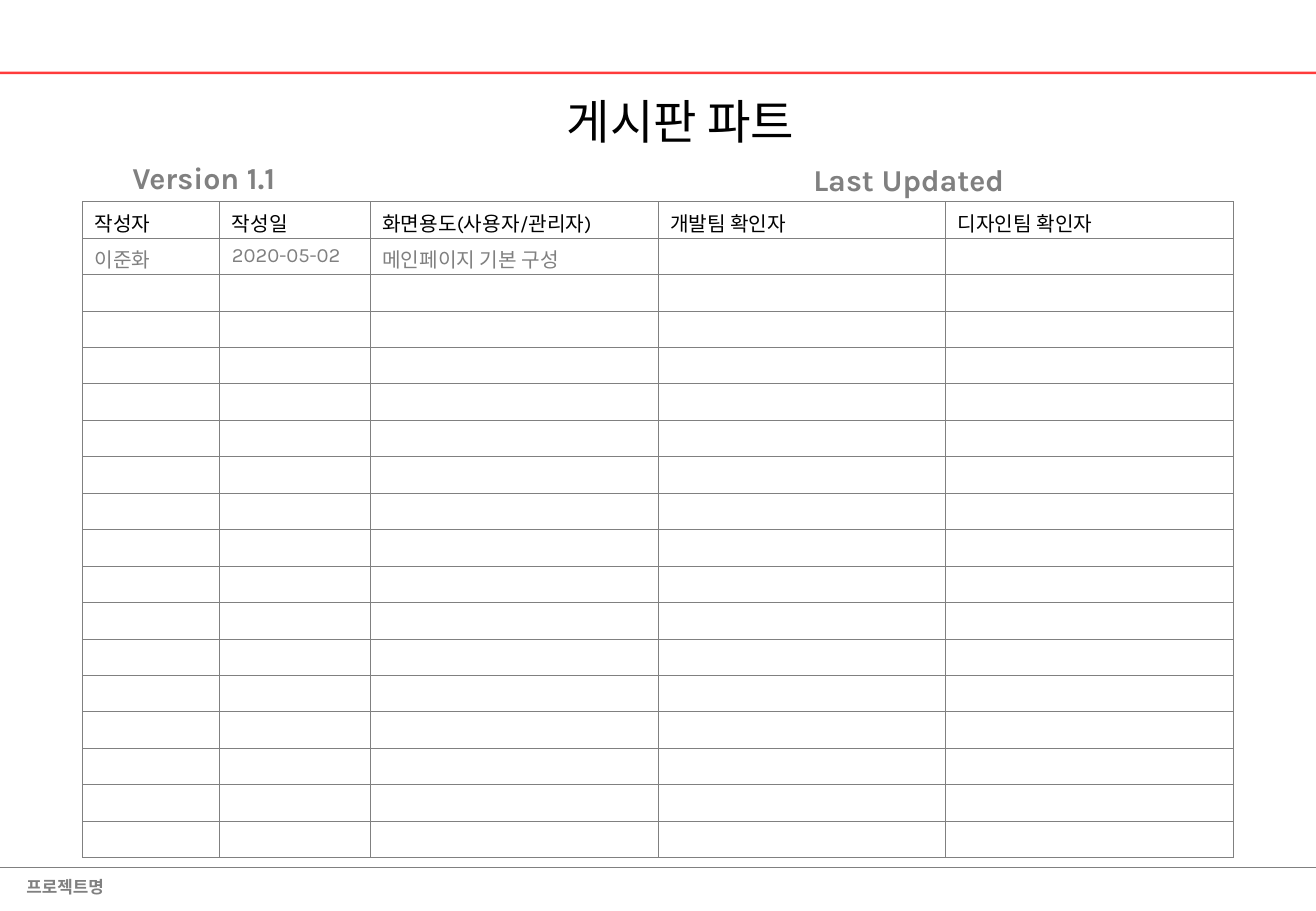
from lxml import etree
from pptx import Presentation
from pptx.dml.color import RGBColor
from pptx.enum import shapes, text
from pptx.oxml import ns
from pptx.util import Pt

RED = RGBColor(0xFF, 0, 0)
GRAY = RGBColor(0x80, 0x80, 0x80)
BLACK = RGBColor(0, 0, 0)
LATIN = "Karla"
KOREAN = "Noto Sans CJK KR"
WIDTH, HEIGHT = 780.48, 540


def add(parent, tag, **attrs):
    return etree.SubElement(parent, ns.qn(tag), attrs)


def style(frame, size, face, color, bold=False, before=0):
    """Format the one paragraph of a text frame, Hangul included."""
    frame.vertical_anchor = text.MSO_ANCHOR.TOP
    para = frame.paragraphs[0]
    para.space_before = Pt(before)
    for run in para.runs:
        run.font.size = Pt(size)
        run.font.name = face
        run.font.bold = bold
        run.font.color.rgb = color
        add(run.font._element, "a:ea", typeface=KOREAN)


prs = Presentation()
prs.slide_width, prs.slide_height = Pt(WIDTH), Pt(HEIGHT)
slide = prs.slides.add_slide(prs.slide_layouts[5])

# Rules above and below the content
for y, color, weight in [(43.2, RED, 1.5), (514.08, GRAY, 0.75)]:
    rule = slide.shapes.add_connector(
        shapes.MSO_CONNECTOR.STRAIGHT, 0, Pt(y), Pt(WIDTH), Pt(y))
    rule.line.color.rgb = color
    rule.line.width = Pt(weight)
    add(rule._element.spPr, "a:effectLst")
    if color == RED:
        tint = next(rule._element.iter(ns.qn("a:srgbClr")))
        add(tint, "a:alpha", val="76000")

# Title
title = slide.shapes.title
title.left, title.top = Pt(329.04), Pt(51.12)
title.width, title.height = Pt(150.48), Pt(41.04)
frame = title.text_frame
frame.text = "게시판 파트"
frame.word_wrap = False
frame.auto_size = text.MSO_AUTO_SIZE.SHAPE_TO_FIT_TEXT
frame.paragraphs[0].alignment = text.PP_ALIGN.LEFT
style(frame, 28, KOREAN, BLACK)

# Labels: words, left, top, width, height, left inset, size, face, before, align
LEFT, RIGHT = text.PP_ALIGN.LEFT, text.PP_ALIGN.RIGHT
labels = [
    ("프로젝트명", 8.64, 516.24, 72, 19.44, 7.2, 10, KOREAN, 0, LEFT),
    ("Version 1.1", 48.96, 90.72, 151.92, 28.8, 29.5, 18, LATIN, 4.5, LEFT),
    ("Last Updated", 464.4, 92.16, 138.24, 28.8, 7.2, 18, LATIN, 4.5, RIGHT),
]
for words, x, y, w, h, inset, size, face, before, align in labels:
    frame = slide.shapes.add_textbox(Pt(x), Pt(y), Pt(w), Pt(h)).text_frame
    frame.text = words
    frame.margin_left = Pt(inset)
    frame.word_wrap = True
    frame.auto_size = text.MSO_AUTO_SIZE.SHAPE_TO_FIT_TEXT
    frame.paragraphs[0].alignment = align
    style(frame, size, face, GRAY, True, before)

# Revision table
ROWS, ROW = 18, 21.6
cols = [81.36, 89.28, 170.64, 170.64, 170.64]
entries = [
    ["작성자", "작성일", "화면용도(사용자/관리자)", "개발팀 확인자", "디자인팀 확인자"],
    ["이준화", "2020-05-02", "메인페이지 기본 구성"],
]
table = slide.shapes.add_table(
    ROWS, len(cols), Pt(48.96), Pt(119.52), Pt(sum(cols)), Pt(ROWS * ROW)).table
table.first_row = table.horz_banding = False
for col, width in zip(table.columns, cols):
    col.width = Pt(width)
for row in table.rows:
    row.height = Pt(ROW)

for cell in table.iter_cells():
    cell.margin_bottom = 0
    props = cell._tc.get_or_add_tcPr()
    for side in ("a:lnL", "a:lnR", "a:lnT", "a:lnB"):
        edge = add(props, side, w=str(Pt(0.45)))
        add(add(edge, "a:solidFill"), "a:srgbClr", val=str(GRAY))
    cell.fill.background()
    add(cell.text_frame.paragraphs[0]._p, "a:endParaRPr", sz="1200")

for r, (line, color) in enumerate(zip(entries, [BLACK, GRAY])):
    for c, words in enumerate(line):
        frame = table.cell(r, c).text_frame
        frame.text = words
        style(frame, 12, LATIN, color, before=3)

prs.save("out.pptx")
